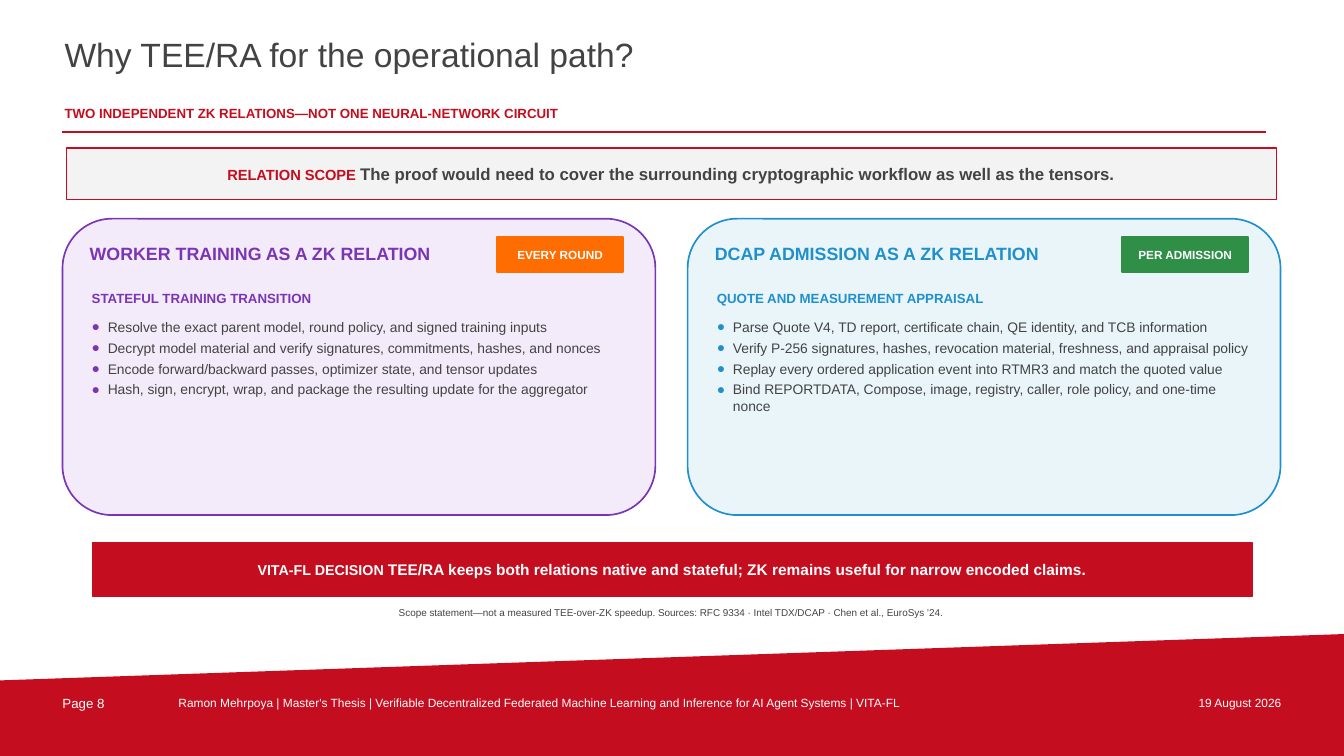
from dataclasses import dataclass

from lxml.etree import SubElement
from pptx import Presentation
from pptx.dml.color import RGBColor
from pptx.enum.shapes import MSO_CONNECTOR as Connector, MSO_SHAPE as Shape
from pptx.enum.text import MSO_ANCHOR as Anchor, PP_ALIGN as Align
from pptx.oxml.ns import qn
from pptx.util import Inches, Pt

# Content
TITLE = "Why TEE/RA for the operational path?"
SUBTITLE = "TWO INDEPENDENT ZK RELATIONS—NOT ONE NEURAL-NETWORK CIRCUIT"
SCOPE = ("RELATION SCOPE", "The proof would need to cover the surrounding "
         "cryptographic workflow as well as the tensors.")
DECISION = ("VITA-FL DECISION", "TEE/RA keeps both relations native and stateful; "
            "ZK remains useful for narrow encoded claims.")
SOURCES = ("Scope statement—not a measured TEE-over-ZK speedup. "
           "Sources: RFC 9334 · Intel TDX/DCAP · Chen et al., EuroSys ’24.")
PAGE = "Page 8"
CREDITS = ["Ramon Mehrpoya", "Master's Thesis",
           "Verifiable Decentralized Federated Machine Learning and Inference "
           "for AI Agent Systems", "VITA-FL"]
DATE = "19 August 2026"
RELATIONS = [
    dict(heading="WORKER TRAINING AS A ZK RELATION", badge="EVERY ROUND",
         topic="STATEFUL TRAINING TRANSITION",
         accent="7A35B5", tint="F3EBF9", badge_fill="FF6C00",
         points=[
             "Resolve the exact parent model, round policy, and signed training inputs",
             "Decrypt model material and verify signatures, commitments, hashes, and nonces",
             "Encode forward/backward passes, optimizer state, and tensor updates",
             "Hash, sign, encrypt, wrap, and package the resulting update for the aggregator"]),
    dict(heading="DCAP ADMISSION AS A ZK RELATION", badge="PER ADMISSION",
         topic="QUOTE AND MEASUREMENT APPRAISAL",
         accent="1F90CC", tint="EAF5FA", badge_fill="2F8F46",
         points=[
             "Parse Quote V4, TD report, certificate chain, QE identity, and TCB information",
             "Verify P-256 signatures, hashes, revocation material, freshness, and appraisal policy",
             "Replay every ordered application event into RTMR3 and match the quoted value",
             "Bind REPORTDATA, Compose, image, registry, caller, role policy, and one-time nonce"]),
]


@dataclass(frozen=True)
class Theme:
    font: str = "Arial"
    red: str = "C40D1E"
    ink: str = "434343"
    white: str = "FFFFFF"
    grey: str = "F3F3F3"
    title: float = 24
    heading: float = 12.7
    scope: float = 12
    decision: float = 11
    scope_label: float = 10.5
    decision_label: float = 10.2
    point: float = 9.9
    label: float = 9.5
    footer: float = 8.5
    badge: float = 8.4
    sources: float = 7.1


T = Theme()

# Grid: slide, left edge, and two cards with a gutter
WIDTH, HEIGHT = 13.33, 7.5
LEFT, GUTTER = 0.62, 0.32
CARD_W, CARD_H, CARD_TOP = 5.88, 2.94, 2.17
FOOTER_TOP, FOOTER_LEFT_EDGE, FOOTER_RIGHT_EDGE = 6.88, 6.75, 6.29

deck = Presentation()
deck.slide_width, deck.slide_height = Inches(WIDTH), Inches(HEIGHT)
slide = deck.slides.add_slide(deck.slide_layouts[6])


def rgb(color):
    return RGBColor.from_string(color)


def paint(shape, fill, line=None, weight=1):
    shape.shadow.inherit = False
    shape.fill.solid()
    shape.fill.fore_color.rgb = rgb(fill)
    if line:
        shape.line.color.rgb = rgb(line)
        shape.line.width = Pt(weight)
    else:
        shape.line.fill.background()
    return shape


def panel(box, fill, line, kind=Shape.RECTANGLE, weight=1):
    return paint(slide.shapes.add_shape(kind, *map(Inches, box)), fill, line, weight)


def set_bullet(paragraph, color, hang=0.16):
    props = paragraph._p.get_or_add_pPr()
    props.set("marL", str(Inches(hang)))
    props.set("indent", str(-Inches(hang)))
    SubElement(SubElement(props, qn("a:buClr")), qn("a:srgbClr"), val=color)
    SubElement(props, qn("a:buFont"), typeface=T.font)
    SubElement(props, qn("a:buChar"), char="●")


def write(paragraphs, box=None, shape=None, size=T.label, color=T.ink, bold=False,
          align=Align.LEFT, anchor=Anchor.TOP, inset=0.02, after=0, bullet=None):
    """Put text in a box or shape; a paragraph is a string or (text, size, color) runs."""
    frame = (shape or slide.shapes.add_textbox(*map(Inches, box))).text_frame
    frame.word_wrap, frame.vertical_anchor = True, anchor
    frame.margin_left = frame.margin_right = Inches(inset)
    frame.margin_top = frame.margin_bottom = Inches(min(inset, 0.02))
    if isinstance(paragraphs, str):
        paragraphs = [paragraphs]
    for index, content in enumerate(paragraphs):
        paragraph = frame.add_paragraph() if index else frame.paragraphs[0]
        paragraph.alignment, paragraph.space_after = align, Pt(after)
        if bullet:
            set_bullet(paragraph, bullet)
        runs = [(content, size, color)] if isinstance(content, str) else content
        for text, run_size, run_color in runs:
            run = paragraph.add_run()
            run.text = text
            run.font.name, run.font.size, run.font.bold = T.font, Pt(run_size), bold
            run.font.color.rgb = rgb(run_color)


def banner(box, fill, label, statement):
    write([[label, statement]], shape=panel(box, fill, T.red), bold=True,
          align=Align.CENTER, anchor=Anchor.MIDDLE)


def relation_card(left, relation):
    accent = relation["accent"]
    panel((left, CARD_TOP, CARD_W, CARD_H), relation["tint"], accent,
          Shape.ROUNDED_RECTANGLE, 1.2)
    write(relation["heading"], (left + 0.25, CARD_TOP + 0.22, 4, 0.35),
          size=T.heading, color=accent, bold=True)
    badge = panel((left + 4.31, CARD_TOP + 0.18, 1.25, 0.35),
                  relation["badge_fill"], relation["badge_fill"])
    write(relation["badge"], shape=badge, size=T.badge, color=T.white, bold=True,
          align=Align.CENTER, anchor=Anchor.MIDDLE)
    write(relation["topic"], (left + 0.27, CARD_TOP + 0.69, 5.3, 0.22),
          color=accent, bold=True)
    write(relation["points"], (left + 0.26, CARD_TOP + 0.97, 5.34, 1.72),
          size=T.point, inset=0.03, after=3, bullet=accent)


# Slanted footer
footer = slide.shapes.build_freeform(0, Inches(FOOTER_LEFT_EDGE))
footer.add_line_segments([(Inches(x), Inches(y)) for x, y in (
    (WIDTH, FOOTER_RIGHT_EDGE), (WIDTH, HEIGHT), (0, HEIGHT))])
paint(footer.convert_to_shape(), T.red)
write(PAGE, (0.6, FOOTER_TOP, 1, 0.22), color=T.white)
write(" | ".join(CREDITS), (1.75, FOOTER_TOP, 9.35, 0.22),
      size=T.footer, color=T.white)
write(DATE, (11.2, FOOTER_TOP, 1.53, 0.22), size=T.footer, color=T.white,
      align=Align.RIGHT)

# Title, subtitle and rule
write(TITLE, (LEFT, 0.32, 9.65, 0.62), size=T.title)
write(SUBTITLE, (LEFT, 1.02, 9.7, 0.22), color=T.red, bold=True)
rule = slide.shapes.add_connector(Connector.STRAIGHT, *map(
    Inches, (LEFT, 1.31, LEFT + 11.94, 1.31)))
rule.line.color.rgb, rule.line.width = rgb(T.red), Pt(1.5)
SubElement(rule._element.spPr, qn("a:effectLst"))

# Scope, relations, decision
banner((0.66, 1.47, 12, 0.51), T.grey,
       (SCOPE[0] + " ", T.scope_label, T.red), (SCOPE[1], T.scope, T.ink))
for column, relation in enumerate(RELATIONS):
    relation_card(LEFT + column * (CARD_W + GUTTER), relation)
banner((0.92, 5.38, 11.5, 0.54), T.red,
       (DECISION[0] + " ", T.decision_label, T.white),
       (DECISION[1], T.decision, T.white))
write(SOURCES, (0.77, 6.02, 11.78, 0.16), size=T.sources, align=Align.CENTER, inset=0)

deck.save("out.pptx")
